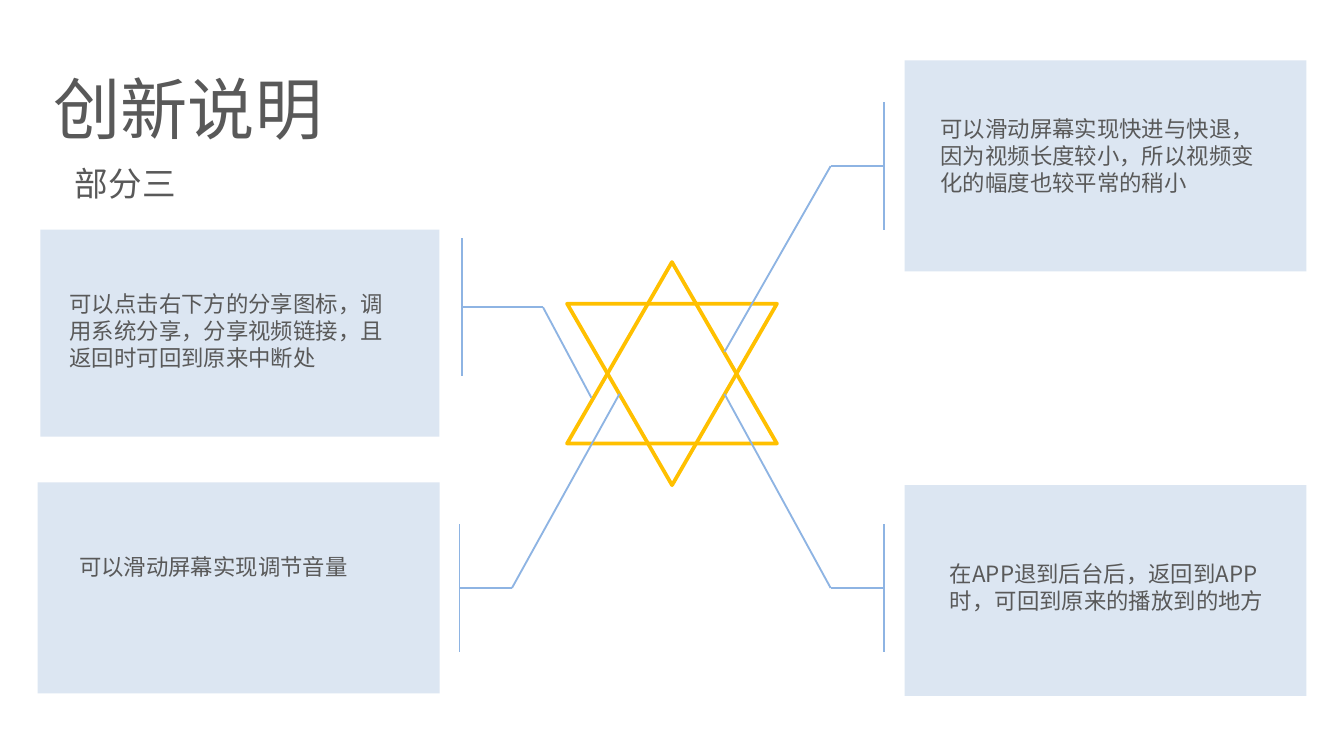
"""Build the slide of four callouts around a six-pointed star."""
from dataclasses import dataclass

from lxml import etree
from pptx import Presentation
from pptx.dml.color import RGBColor
from pptx.enum.shapes import MSO_CONNECTOR, MSO_SHAPE
from pptx.enum.text import MSO_AUTO_SIZE
from pptx.oxml.ns import qn
from pptx.util import Pt

RECT = MSO_SHAPE.RECTANGLE
PEAK = MSO_SHAPE.ISOSCELES_TRIANGLE
LINE = MSO_CONNECTOR.STRAIGHT
GROW = MSO_AUTO_SIZE.SHAPE_TO_FIT_TEXT


@dataclass(frozen=True)
class Theme:
    font: str = "Noto Sans CJK SC"
    ink: RGBColor = RGBColor(0x59, 0x59, 0x59)
    panel: RGBColor = RGBColor(0xDC, 0xE6, 0xF2)
    wire: RGBColor = RGBColor(0x8E, 0xB4, 0xE3)
    star: RGBColor = RGBColor(0xFF, 0xC0, 0x00)
    title: int = 36
    label: int = 18
    body: int = 12


THEME = Theme()

NOTES = [
    dict(panel=(484.6, 259.9, 215.3, 113), box=(501.8, 296.6, 187.9, 36),
         start=(388.1, 211), elbow=(445, 315), bar=473.6, half=34.2,
         text="在APP退到后台后，返回到APP时，可回到原来的播放到的地方"),
    dict(panel=(484.6, 32.4, 215.3, 113), box=(496.8, 58.3, 191.5, 51.1),
         start=(388.1, 188.6), elbow=(445, 89), bar=473.6, half=34.2,
         text="可以滑动屏幕实现快进与快退，因为视频长度较小，所以视频变化的幅度也较平常的稍小"),
    dict(panel=(20.2, 258.5, 215.3, 113), box=(35.3, 293, 187.2, 21.6),
         start=(331.9, 211), elbow=(274.3, 315), bar=246.2, half=34.2,
         text="可以滑动屏幕实现调节音量"),
    dict(panel=(21.6, 123.1, 213.8, 110.9), box=(30.2, 151.9, 187.9, 51.1),
         start=(316.8, 213.1), elbow=(290.9, 164.6), bar=247.3, half=37,
         text="可以点击右下方的分享图标，调用系统分享，分享视频链接，且返回时可回到原来中断处"),
]


def points(nums):
    return [Pt(num) for num in nums]


def add_text(slide, box, text, size, wrap=True):
    frame = slide.shapes.add_textbox(*points(box)).text_frame
    for key, value in {"word_wrap": wrap, "auto_size": GROW}.items():
        setattr(frame, key, value)
    run = frame.paragraphs[0].add_run()
    run.text = text
    for key, value in {"name": THEME.font, "size": Pt(size)}.items():
        setattr(run.font, key, value)
    run.font.color.rgb = THEME.ink
    east = etree.SubElement(run.font._element, qn("a:ea"))
    east.set("typeface", THEME.font)


def add_wire(slide, start, end):
    wire = slide.shapes.add_connector(LINE, *points(start + end))
    wire.line.color.rgb = THEME.wire
    wire.line.width = Pt(1)
    etree.SubElement(wire._element.spPr, qn("a:effectLst"))


def add_panel(slide, box):
    panel = slide.shapes.add_shape(RECT, *points(box))
    panel.shadow.inherit = False
    panel.fill.solid()
    panel.fill.fore_color.rgb = THEME.panel
    panel.line.fill.background()


def add_star(slide):
    for top, turn in ((140.4, 0), (162.7, 180)):
        peak = slide.shapes.add_shape(PEAK, *points((303.8, top, 112.4, 97.2)))
        peak.shadow.inherit = False
        peak.rotation = turn
        peak.fill.background()
        peak.line.color.rgb = THEME.star
        peak.line.width = Pt(2)


def add_note(slide, panel, box, start, elbow, bar, half, text):
    level = elbow[1]
    add_wire(slide, start, elbow)
    add_wire(slide, elbow, (bar, level))
    add_wire(slide, (bar, level - half), (bar, level + half))
    add_panel(slide, panel)
    add_text(slide, box, text, THEME.body)


def main():
    deck = Presentation()
    deck.slide_width, deck.slide_height = Pt(720), Pt(405)
    slide = deck.slides.add_slide(deck.slide_layouts[6])
    add_star(slide)
    add_text(slide, (21.6, 32.4, 159.8, 51.1), "创新说明", THEME.title, False)
    add_text(slide, (33.1, 83.5, 69.1, 28.8), "部分三", THEME.label, False)
    for note in NOTES:
        add_note(slide, **note)
    deck.save("out.pptx")


if __name__ == "__main__":
    main()
